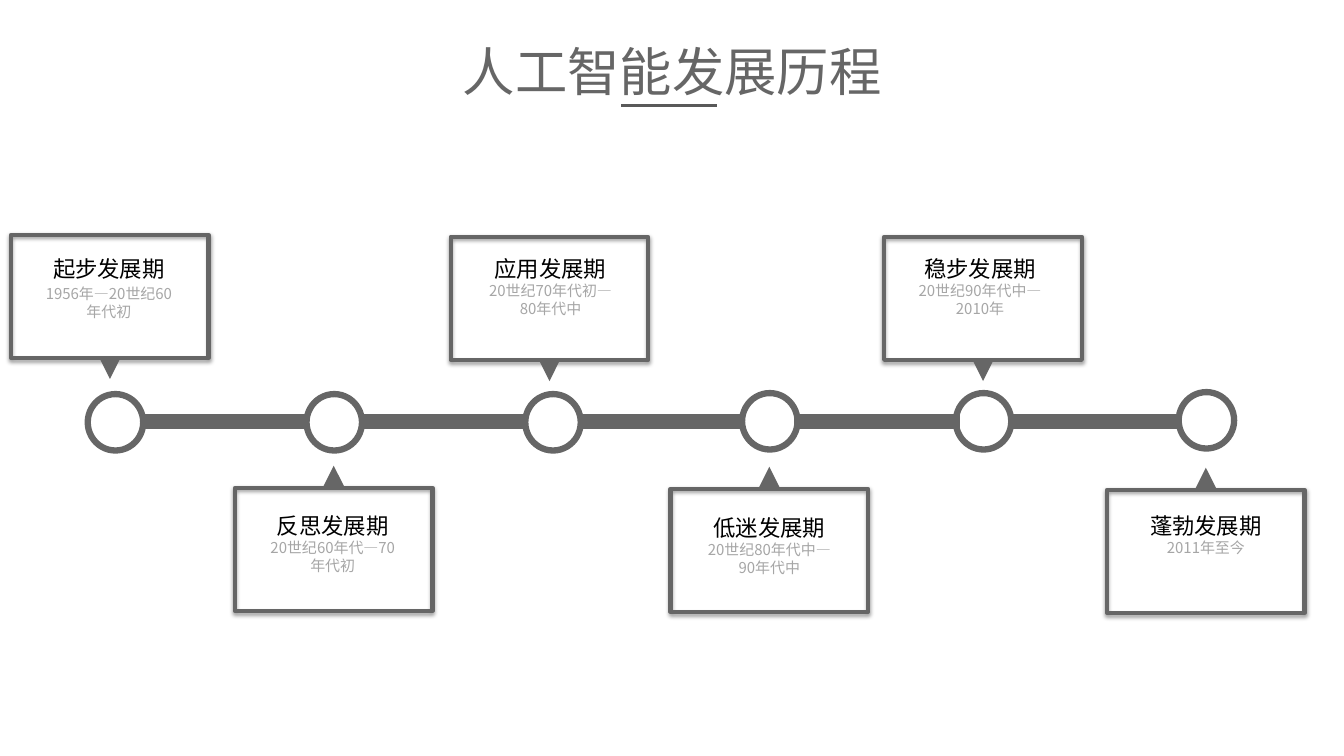
from dataclasses import dataclass

from lxml import etree
from pptx import Presentation
from pptx.dml.color import RGBColor
from pptx.enum.shapes import MSO_CONNECTOR, MSO_SHAPE
from pptx.enum.text import MSO_ANCHOR, MSO_AUTO_SIZE, PP_ALIGN
from pptx.oxml.ns import qn
from pptx.util import Inches, Pt

STRAIGHT = MSO_CONNECTOR.STRAIGHT
RECT, OVAL, TRIANGLE = MSO_SHAPE.RECTANGLE, MSO_SHAPE.OVAL, MSO_SHAPE.ISOSCELES_TRIANGLE
CENTER, MIDDLE, TOP = PP_ALIGN.CENTER, MSO_ANCHOR.MIDDLE, MSO_ANCHOR.TOP
NO_AUTOFIT = MSO_AUTO_SIZE.NONE


@dataclass(frozen=True)
class Theme:
    font: str = "Noto Sans CJK SC"
    gray: str = "666666"
    rule: str = "595959"
    heading: str = "000000"
    period: str = "A6A6A6"
    shadow: str = "000000"
    title_size: float = 37.4
    heading_size: float = 16
    period_size: float = 10.7


THEME = Theme()
BOX_W, BOX_H = 1.96, 1.22
TEXT_W, TEXT_H = 1.52, 0.89
NODE_W, NODE_H = 0.55, 0.56
POINTER = 0.22
BAR_Y, BAR_LENGTH = 4.18, 1.64
BAR_STARTS = (1.39, 3.57, 5.73, 7.88, 10.04)

# heading, period, above the bar, box, text and node positions
STAGES = (
    ("起步发展期", "1956年—20世纪60年代初", True, (0.11, 2.33), (0.32, 2.46), (0.87, 3.91)),
    ("反思发展期", "20世纪60年代—70年代初", False, (2.33, 4.84), (2.54, 5.01), (3.04, 3.91)),
    ("应用发展期", "20世纪70年代初—80年代中", True, (4.47, 2.35), (4.7, 2.46), (5.21, 3.91)),
    ("低迷发展期", "20世纪80年代中—90年代中", False, (6.65, 4.85), (6.87, 5.03), (7.36, 3.9)),
    ("稳步发展期", "20世纪90年代中—2010年", True, (8.77, 2.35), (8.96, 2.46), (9.48, 3.9)),
    ("蓬勃发展期", "2011年至今", False, (10.98, 4.86), (11.2, 5.01), (11.69, 3.89)),
)


def rgb(color):
    return RGBColor.from_string(color)


def format_frame(tf, anchor, wrap):
    values = {
        "margin_left": Inches(0.13), "margin_right": Inches(0.13),
        "margin_top": Inches(0.07), "margin_bottom": Inches(0.07),
        "vertical_anchor": anchor, "word_wrap": wrap, "auto_size": NO_AUTOFIT,
    }
    for name, value in values.items():
        setattr(tf, name, value)


def add_run(p, text, size, color):
    r = p.add_run()
    r.text = text
    for name, value in {"name": THEME.font, "size": Pt(size), "bold": False}.items():
        setattr(r.font, name, value)
    r.font.color.rgb = rgb(color)
    ea = etree.SubElement(r.font._element, qn("a:ea"))
    ea.set("typeface", THEME.font)


def add_line(s, x1, x2, y, width, color):
    line = s.shapes.add_connector(STRAIGHT, Inches(x1), Inches(y), Inches(x2), Inches(y))
    line.line.width = Pt(width)
    line.line.color.rgb = rgb(color)
    etree.SubElement(line._element.spPr, qn("a:effectLst"))


def add_outline(s, kind, x, y, w, h, width):
    sp = s.shapes.add_shape(kind, Inches(x), Inches(y), Inches(w), Inches(h))
    sp.shadow.inherit = False
    sp.fill.background()
    sp.line.width = Pt(width)
    sp.line.color.rgb = rgb(THEME.gray)
    return sp


def add_drop_shadow(sp):
    effects = sp._element.spPr.find(qn("a:effectLst"))
    shadow = etree.SubElement(effects, qn("a:outerShdw"), blurRad=str(Pt(3.1)),
                              dist=str(Pt(1.6)), dir="5400000", rotWithShape="0")
    color = etree.SubElement(shadow, qn("a:srgbClr"), val=THEME.shadow)
    etree.SubElement(color, qn("a:alpha"), val="38000")


def add_pointer(s, x, y, down):
    sp = s.shapes.add_shape(TRIANGLE, Inches(x), Inches(y), Inches(POINTER), Inches(POINTER))
    sp.shadow.inherit = False
    sp.fill.solid()
    sp.fill.fore_color.rgb = rgb(THEME.gray)
    sp.line.fill.background()
    sp.rotation = 180 if down else 0


def add_caption(s, x, y, heading, period, spaced):
    """Write heading and period; spaced puts the period in its own paragraph."""
    tf = s.shapes.add_textbox(Inches(x), Inches(y), Inches(TEXT_W), Inches(TEXT_H)).text_frame
    format_frame(tf, TOP, True)
    p = tf.paragraphs[0]
    p.alignment = CENTER
    add_run(p, heading, THEME.heading_size, THEME.heading)
    if spaced:
        p = tf.add_paragraph()
        p.alignment = CENTER
        p.space_before = Pt(2)
    else:
        p.add_line_break()
    add_run(p, period, THEME.period_size, THEME.period)


def add_stage(s, heading, period, above, box, text, node, spaced):
    x, y = box
    add_outline(s, OVAL, *node, NODE_W, NODE_H, 4.5)
    add_drop_shadow(add_outline(s, RECT, x, y, BOX_W, BOX_H, 3))
    pointer_y = y + BOX_H - 0.01 if above else y - POINTER
    add_pointer(s, x + (BOX_W - POINTER) / 2, pointer_y, above)
    add_caption(s, *text, heading, period, spaced)


def set_title(s, text):
    title = s.shapes.title
    values = {"left": 4.44, "top": 0.36, "width": 4.46, "height": 0.69}
    for name, value in values.items():
        setattr(title, name, Inches(value))
    tf = title.text_frame
    format_frame(tf, MIDDLE, False)
    p = tf.paragraphs[0]
    p.alignment = CENTER
    add_run(p, text, THEME.title_size, THEME.gray)


def main():
    prs = Presentation()
    prs.slide_width, prs.slide_height = Inches(13.33), Inches(7.5)
    s = prs.slides.add_slide(prs.slide_layouts[5])
    set_title(s, "人工智能发展历程")
    add_line(s, 6.16, 7.11, 1.05, 2, THEME.rule)
    for x in BAR_STARTS:
        add_line(s, x, x + BAR_LENGTH, BAR_Y, 11, THEME.gray)
    for i, stage in enumerate(STAGES):
        add_stage(s, *stage, spaced=i == 0)
    prs.save("out.pptx")


if __name__ == "__main__":
    main()
